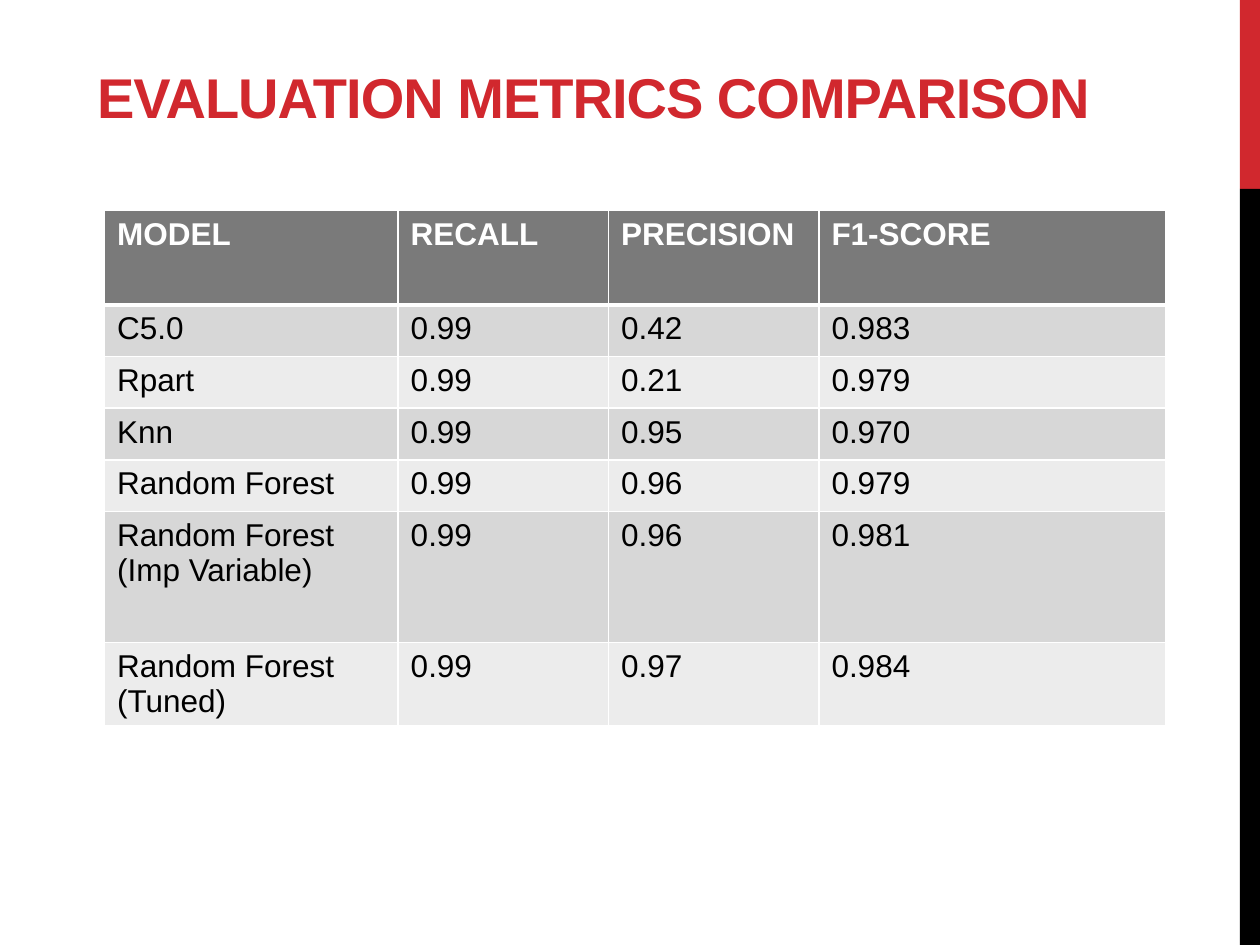
import pptx
import pptx.dml.color
import pptx.enum.shapes
import pptx.enum.text
import pptx.oxml.ns
import pptx.util
from lxml import etree
from pptx.util import Inches

RED = pptx.dml.color.RGBColor(0xD1, 0x28, 0x2E)
BLACK = pptx.dml.color.RGBColor(0, 0, 0)
WHITE = pptx.dml.color.RGBColor(0xFF, 0xFF, 0xFF)
HEADER_GRAY = pptx.dml.color.RGBColor(0x7A, 0x7A, 0x7A)
BAND_GRAYS = [
    pptx.dml.color.RGBColor(0xD7, 0xD7, 0xD7),
    pptx.dml.color.RGBColor(0xEC, 0xEC, 0xEC),
]

TITLE = "EVALUATION METRICS COMPARISON"
METRICS = [
    ("MODEL", "RECALL", "PRECISION", "F1-SCORE"),
    ("C5.0", "0.99", "0.42", "0.983"),
    ("Rpart", "0.99", "0.21", "0.979"),
    ("Knn", "0.99", "0.95", "0.970"),
    ("Random Forest", "0.99", "0.96", "0.979"),
    ("Random Forest\n(Imp Variable)", "0.99", "0.96", "0.981"),
    ("Random Forest\n(Tuned)", "0.99", "0.97", "0.984"),
]
COLUMN_WIDTHS = [2.33, 1.67, 1.67, 2.75]
ROW_HEIGHTS = [0.75, 0.41, 0.41, 0.41, 0.41, 1.04, 0.41]
SIDE_BARS = [(0, 1.5, RED), (1.5, 6, BLACK)]  # top, height, colour


def write_text(frame, text, *, size, color, bold=False, spacing=None,
               align=pptx.enum.text.PP_ALIGN.LEFT):
    """Fill a text frame, one paragraph per line; spacing is in points."""
    for index, line in enumerate(text.split("\n")):
        para = frame.add_paragraph() if index else frame.paragraphs[0]
        para.alignment = align
        span = para.add_run()
        span.text = line
        span.font.name = "Arial"
        span.font.size = pptx.util.Pt(size)
        span.font.bold = bold
        span.font.color.rgb = color
        if spacing is not None:
            span.font._element.set("spc", str(round(spacing * 100)))


def set_borders(cell, color, **widths):
    """Draw cell borders; widths maps L, R, T and B to points."""
    properties = cell._tc.get_or_add_tcPr()
    for side in "LRTB":
        line = etree.SubElement(properties, pptx.oxml.ns.qn(f"a:ln{side}"),
                                w=str(pptx.util.Pt(widths.get(side, 1))))
        fill = etree.SubElement(line, pptx.oxml.ns.qn("a:solidFill"))
        etree.SubElement(fill, pptx.oxml.ns.qn("a:srgbClr"), val=str(color))


def add_side_bars(slide):
    for top, height, color in SIDE_BARS:
        bar = slide.shapes.add_shape(
            pptx.enum.shapes.MSO_SHAPE.RECTANGLE,
            Inches(9.84), Inches(top), Inches(0.16), Inches(height))
        bar.shadow.inherit = False
        bar.fill.solid()
        bar.fill.fore_color.rgb = color
        bar.line.fill.background()


def format_title(title):
    title.left, title.top = Inches(0.67), Inches(-0.17)
    title.width, title.height = Inches(9), Inches(1.25)
    frame = title.text_frame
    frame.word_wrap = True
    frame.auto_size = pptx.enum.text.MSO_AUTO_SIZE.NONE
    frame.vertical_anchor = pptx.enum.text.MSO_ANCHOR.BOTTOM
    write_text(frame, TITLE, size=32, color=RED, bold=True, spacing=-0.6)


def add_metrics_table(slide):
    table = slide.shapes.add_table(
        len(METRICS), len(COLUMN_WIDTHS), Inches(0.83), Inches(1.67),
        Inches(sum(COLUMN_WIDTHS)), Inches(sum(ROW_HEIGHTS))).table
    for column, width in zip(table.columns, COLUMN_WIDTHS):
        column.width = Inches(width)
    for row, height in zip(table.rows, ROW_HEIGHTS):
        row.height = Inches(height)

    for row_index, values in enumerate(METRICS):
        header = row_index == 0
        background = HEADER_GRAY if header else BAND_GRAYS[(row_index - 1) % 2]
        for column_index, value in enumerate(values):
            cell = table.cell(row_index, column_index)
            set_borders(cell, WHITE, T=3 if row_index == 1 else 1,
                        B=3 if header else 1)
            cell.fill.solid()
            cell.fill.fore_color.rgb = background
            write_text(cell.text_frame, value, size=18, bold=header,
                       color=WHITE if header else BLACK)


def main():
    deck = pptx.Presentation()
    deck.slide_width, deck.slide_height = Inches(10), Inches(7.5)
    slide = deck.slides.add_slide(deck.slide_layouts.get_by_name("Title Only"))
    add_side_bars(slide)
    format_title(slide.shapes.title)
    add_metrics_table(slide)
    deck.save("out.pptx")


if __name__ == "__main__":
    main()
